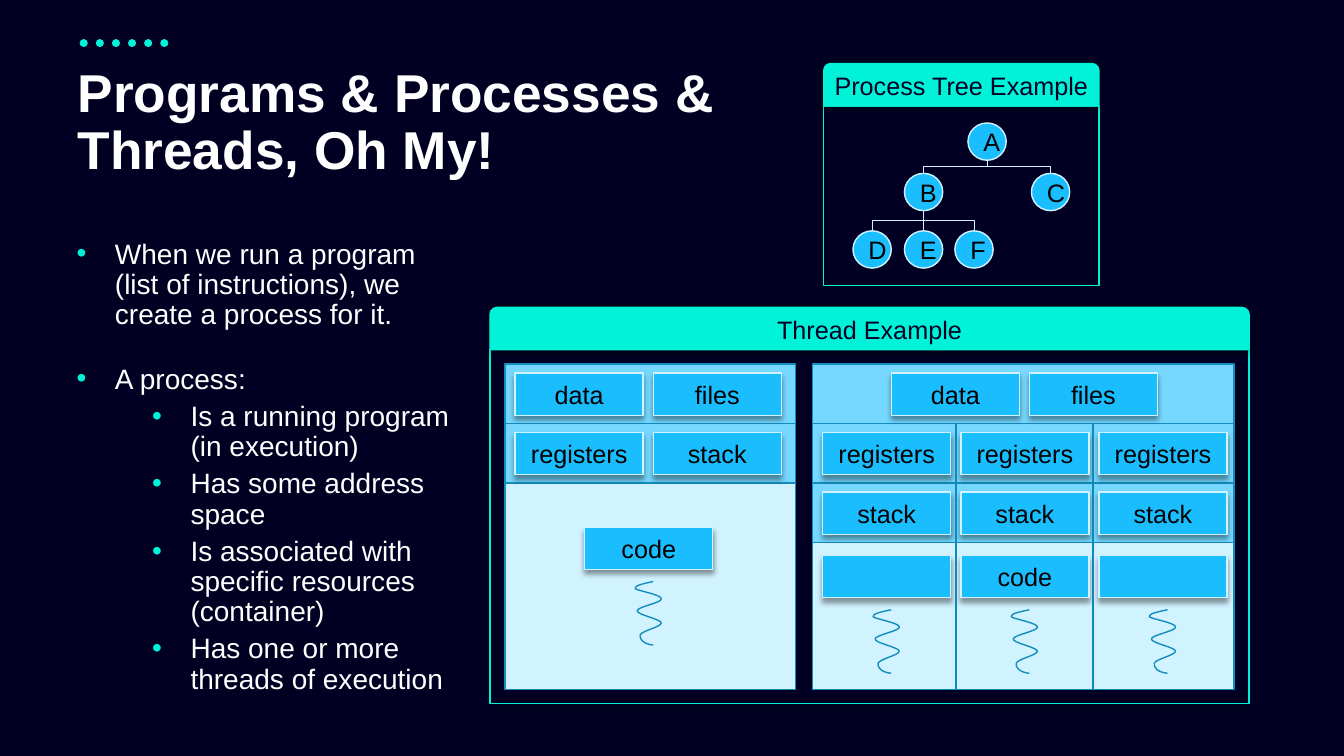
"""Build a slide on programs, processes and threads."""
from lxml import etree
from pptx import Presentation
from pptx import util as u
from pptx.dml.color import RGBColor
from pptx.enum import dml, shapes, text
from pptx.oxml import ns

PX = 9144
FONT = "Arial"
COLORS = {
    "night": "010022", "teal": "00F3D8", "white": "FFFFFF", "black": "000000",
    "sky": "1ABEFF", "band": "76D8FF", "pale": "D1F2FF", "edge": "138DBD", "divider": "1089B9",
}
KIND = shapes.MSO_SHAPE
BOX_W, BOX_H, BOX_PITCH = 127, 42, 137
ROW_H = 59
SQUIGGLE = [
    (-10, 2, -19, 4, -18, 7), (-16, 9, 8, 13, 8, 17), (9, 21, -16, 25, -16, 29),
    (-16, 33, 7, 37, 8, 41), (8, 45, -12, 49, -13, 53), (-14, 57, -10, 62, 0, 63),
]


def px(*lengths):
    return [u.Emu(round(length * PX)) for length in lengths]


def rgb(color):
    return RGBColor.from_string(COLORS[color])


def child(parent, tag, **attributes):
    return etree.SubElement(parent, ns.qn(tag), attributes)


def style_line(line, color, width):
    line.color.rgb = rgb(color)
    line.width = u.Pt(width)


def style_font(paragraph, size, color, bold=False):
    font = paragraph.font
    font.name, font.size, font.bold = FONT, u.Pt(size), bold
    font.color.rgb = rgb(color)


def set_margins(frame, left, top, right, bottom):
    (frame.margin_left, frame.margin_top,
     frame.margin_right, frame.margin_bottom) = px(left, top, right, bottom)


def add_shadow(shape, blur, distance):
    effects = shape._element.spPr.find(ns.qn("a:effectLst"))
    outer = child(effects, "a:outerShdw", blurRad=str(u.Pt(blur)), dist=str(u.Pt(distance)),
                  dir="5400000", algn="ctr", rotWithShape="0")
    shade = child(outer, "a:srgbClr", val=COLORS["black"])
    child(shade, "a:alpha", val="40000")


def add_block(slide, kind, place, fill, edge):
    block = slide.shapes.add_shape(kind, *px(*place))
    block.shadow.inherit = False
    if fill:
        block.fill.solid()
        block.fill.fore_color.rgb = rgb(fill)
    else:
        block.fill.background()
    style_line(block.line, edge, 1)
    return block


def write_label(block, label, color="black", margins=(10, 10, 10, 10)):
    frame = block.text_frame
    frame.word_wrap = True
    frame.vertical_anchor = text.MSO_ANCHOR.MIDDLE
    set_margins(frame, *margins)
    paragraph = frame.paragraphs[0]
    paragraph.text = label
    paragraph.alignment = text.PP_ALIGN.CENTER
    style_font(paragraph, 18, color)


def add_line(slide, start, end, color, width, kind=shapes.MSO_CONNECTOR.STRAIGHT):
    line = slide.shapes.add_connector(kind, *px(*start, *end))
    child(line._element.spPr, "a:effectLst")
    style_line(line.line, color, width)
    return line


def add_branch(slide, start, end):
    """Draw an elbow that leaves the parent node downwards."""
    (x1, y1), (x2, y2) = start, end
    if x1 == x2:
        add_line(slide, start, end, "pale", 0.5)
        return
    side = 1 if x2 > x1 else -1
    middle_x, middle_y = (x1 + x2) / 2, (y1 + y2) / 2
    half_x, half_y = abs(x2 - x1) / 2, (y2 - y1) / 2
    branch = add_line(slide, (middle_x + side * half_y, middle_y - half_x),
                      (middle_x - side * half_y, middle_y + half_x),
                      "pale", 0.5, shapes.MSO_CONNECTOR.ELBOW)
    turn = 270 if side > 0 else 90
    branch._element.spPr.find(ns.qn("a:xfrm")).set("rot", str(turn * 60000))


def add_panel(slide, heading, left, top, width, body_height):
    frame = add_block(slide, KIND.RECTANGLE, (left, top + 42, width, body_height), None, "teal")
    header = add_block(slide, KIND.ROUND_2_SAME_RECTANGLE, (left, top, width, 42), "teal", "teal")
    for part in (frame, header):
        add_shadow(part, 5, 0)
    write_label(header, heading, "night", (3, 5, 3, 5))


def add_box(slide, left, top, label=""):
    box = add_block(slide, KIND.RECTANGLE, (left, top, BOX_W, BOX_H), "sky", "pale")
    add_shadow(box, 4, 3)
    if label:
        write_label(box, label)


def add_squiggle(slide, left, top):
    """Draw one thread of execution as a chain of Bezier curves."""
    builder = slide.shapes.build_freeform(left, top, scale=PX)
    builder.add_line_segments([(left + c[4], top + c[5]) for c in SQUIGGLE], close=False)
    thread = builder.convert_to_shape()
    thread.shadow.inherit = False
    thread.fill.background()
    style_line(thread.line, "edge", 1)
    outline = thread._element.spPr.find(".//" + ns.qn("a:path"))
    shift = -min(c[4] for c in SQUIGGLE)
    for segment, curve in zip(outline.findall(ns.qn("a:lnTo")), SQUIGGLE):
        outline.remove(segment)
        bend = child(outline, "a:cubicBezTo")
        for x, y in zip(curve[::2], curve[1::2]):
            child(bend, "a:pt", x=str(x + shift), y=str(y))


def place_text(placeholder, place, margins, anchor):
    placeholder.left, placeholder.top, placeholder.width, placeholder.height = px(*place)
    frame = placeholder.text_frame
    frame.word_wrap = True
    frame.auto_size = text.MSO_AUTO_SIZE.NONE
    frame.vertical_anchor = anchor
    set_margins(frame, *margins)
    return frame


def write_title(slide, title):
    frame = place_text(slide.shapes.title, (67, 60, 709, 150), (10, 5, 10, 30),
                       text.MSO_ANCHOR.BOTTOM)
    paragraph = frame.paragraphs[0]
    paragraph.text = title
    paragraph.alignment = text.PP_ALIGN.LEFT
    paragraph.line_spacing = 0.9
    style_font(paragraph, 38, "white", True)


def write_bullets(placeholder, place, points):
    frame = place_text(placeholder, place, (10, 5, 10, 5), text.MSO_ANCHOR.TOP)
    for index, point in enumerate(points):
        paragraph = frame.add_paragraph() if index else frame.paragraphs[0]
        paragraph.text = point
        paragraph.level = min(index, 1)
        paragraph.line_spacing = 0.9
        paragraph.space_before = u.Pt(5 if index else 0)
        properties = paragraph._p.get_or_add_pPr()
        indent, hanging = px(113 if index else 38, -38)
        properties.set("marL", str(indent))
        properties.set("indent", str(hanging))
        child(child(properties, "a:buClr"), "a:srgbClr", val=COLORS["teal"])
        child(properties, "a:buFont", typeface=FONT)
        child(properties, "a:buChar", char="•")
        style_font(paragraph, 20, "white")


def draw_process_tree(slide):
    add_panel(slide, "Process Tree Example", 817, 63, 273, 178)
    width, height = 38, 37
    nodes = {"A": (960, 122), "B": (897, 172), "C": (1023, 172),
             "D": (846, 229), "E": (897, 229), "F": (947, 229)}
    for name, (left, top) in nodes.items():
        node = add_block(slide, KIND.OVAL, (left, top, width, height), "sky", "pale")
        write_label(node, name)
    for parent, kid in ("AB", "AC", "BD", "BE", "BF"):
        (x1, y1), (x2, y2) = nodes[parent], nodes[kid]
        add_branch(slide, (x1 + width / 2, y1 + height), (x2 + width / 2, y2))


def draw_process(slide, left, width, bands):
    top = 361
    for _ in range(bands):
        add_block(slide, KIND.RECTANGLE, (left, top, width, ROW_H), "band", "edge")
        top += ROW_H
    add_block(slide, KIND.RECTANGLE, (left, top, width, 684 - top), "pale", "edge")


def draw_threads(slide):
    add_panel(slide, "Thread Example", 486, 305, 753, 351)
    rows = [370 + ROW_H * row for row in range(3)]

    draw_process(slide, 501, 288, 2)
    for top, labels in zip(rows, (("data", "files"), ("registers", "stack"))):
        for column, label in enumerate(labels):
            add_box(slide, 511 + BOX_PITCH * column, top, label)
    add_box(slide, 580, 523, "code")
    add_squiggle(slide, 648, 577)

    draw_process(slide, 806, 418, 3)
    for column, label in enumerate(("data", "files")):
        add_box(slide, 884 + BOX_PITCH * column, rows[0], label)
    for column, code in enumerate(("", "code", "")):
        left = 816 + BOX_PITCH * column
        for top, label in zip((rows[1], rows[2], 551), ("registers", "stack", code)):
            add_box(slide, left, top, label)
        add_squiggle(slide, left + 68, 605)
    for x in (948, 1084):
        add_line(slide, (x, 420), (x, 684), "divider", 1)


def main():
    deck = Presentation()
    deck.slide_width, deck.slide_height = px(1333, 750)
    slide = deck.slides.add_slide(deck.slide_layouts[3])
    slide.background.fill.solid()
    slide.background.fill.fore_color.rgb = rgb("night")
    dots = add_line(slide, (83, 43), (167, 43), "teal", 5.75)
    dots.line.dash_style = dml.MSO_LINE.ROUND_DOT
    dots._element.spPr.find(ns.qn("a:ln")).set("cap", "rnd")
    write_title(slide, "Programs & Processes & Threads, Oh My!")
    write_bullets(slide.placeholders[1], (66, 233, 405, 101), [
        "When we run a program (list of instructions), we create a process for it."])
    write_bullets(slide.placeholders[2], (66, 357, 405, 341), [
        "A process:", "Is a running program (in execution)", "Has some address space",
        "Is associated with specific resources (container)",
        "Has one or more threads of execution"])
    draw_process_tree(slide)
    draw_threads(slide)
    deck.save("out.pptx")


if __name__ == "__main__":
    main()
